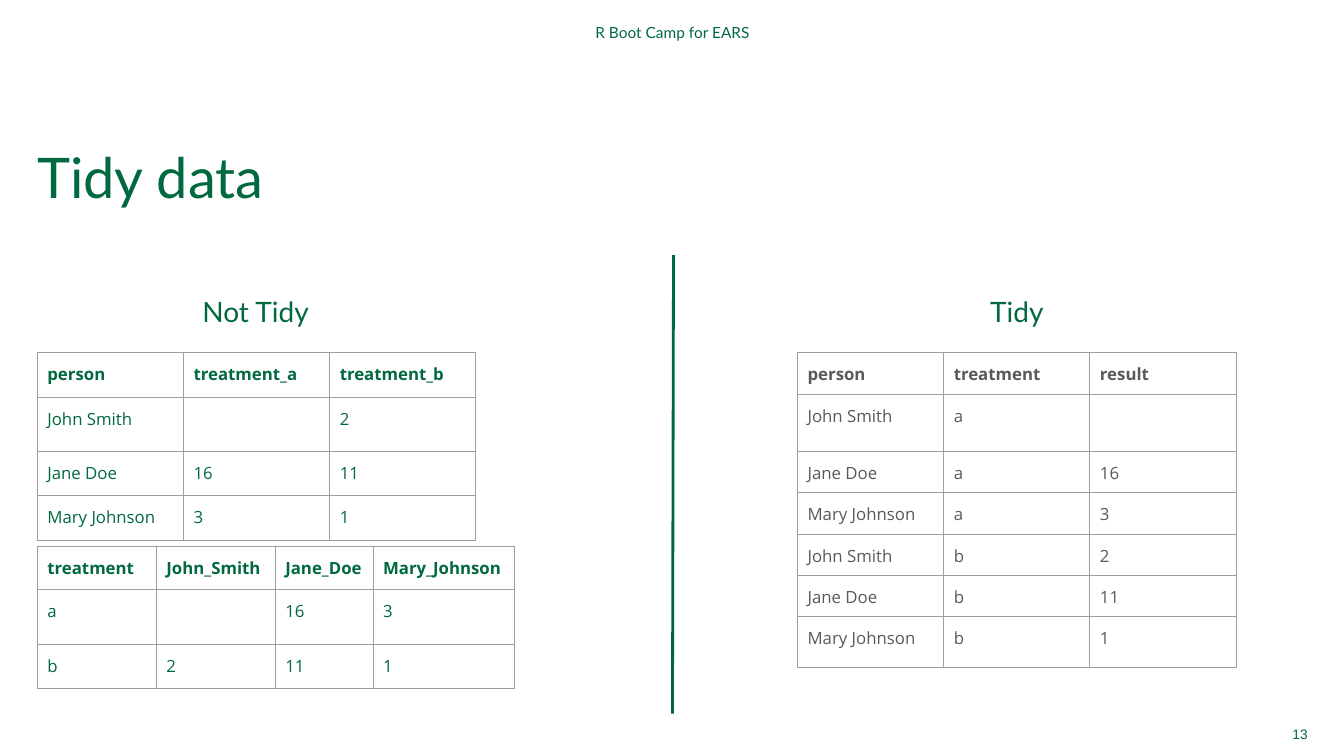
from lxml import etree
from pptx import Presentation
from pptx import util as u
from pptx.dml.color import RGBColor
from pptx.enum import shapes, text
from pptx.oxml import ns

GREEN, GREY, BORDER = "00693E", "595959", "9E9E9E"


def colour(value):
    return RGBColor.from_string(value)


class SlideBuilder:
    heading_font = "Lato"
    table_font = "Open Sans"

    def __init__(self, slide):
        self.slide = slide

    def format_runs(self, paragraph, size, font, hue, bold=False):
        for run in paragraph.runs:
            run.font.size = u.Pt(size)
            run.font.name = font
            run.font.bold = bold
            run.font.color.rgb = colour(hue)

    def label(self, words, box, size, align, font=heading_font,
              anchor=text.MSO_ANCHOR.MIDDLE, insets=(0, 0), spacing=None):
        shape = self.slide.shapes.add_textbox(*map(u.Inches, box))
        frame = shape.text_frame
        frame.text = words
        frame.word_wrap = True
        frame.vertical_anchor = anchor
        frame.margin_left = frame.margin_right = u.Inches(insets[0])
        frame.margin_top = frame.margin_bottom = u.Inches(insets[1])
        paragraph = frame.paragraphs[0]
        paragraph.alignment = align
        if spacing:
            paragraph.line_spacing = spacing
        self.format_runs(paragraph, size, font, GREEN)

    def line(self, start, end, width, hue):
        connector = self.slide.shapes.add_connector(
            shapes.MSO_CONNECTOR.STRAIGHT, *map(u.Inches, start + end))
        connector.line.color.rgb = colour(hue)
        connector.line.width = u.Pt(width)
        etree.SubElement(connector._element.spPr, ns.qn("a:effectLst"))

    def border(self, cell):
        properties = cell._tc.get_or_add_tcPr()
        for index, side in enumerate(("lnL", "lnR", "lnT", "lnB")):
            edge = etree.Element(ns.qn(f"a:{side}"), w=str(u.Pt(0.75)))
            fill = etree.SubElement(edge, ns.qn("a:solidFill"))
            etree.SubElement(fill, ns.qn("a:srgbClr"), val=BORDER)
            properties.insert(index, edge)

    def table(self, rows, corner, widths, heights, hue):
        box = (*corner, sum(widths), sum(heights))
        table = self.slide.shapes.add_table(
            len(rows), len(widths), *map(u.Inches, box)).table
        table.first_row = table.horz_banding = False
        for column, width in zip(table.columns, widths):
            column.width = u.Inches(width)
        for r, (row, height) in enumerate(zip(rows, heights)):
            table.rows[r].height = u.Inches(height)
            for c, value in enumerate(row):
                cell = table.cell(r, c)
                cell.text_frame.text = value
                cell.margin_left = cell.margin_right = u.Inches(0.1)
                cell.margin_top = u.Inches(0.1)
                cell.margin_bottom = u.Inches(0.07)
                cell.fill.background()
                self.border(cell)
                self.format_runs(cell.text_frame.paragraphs[0], 12,
                                 self.table_font, hue, bold=r == 0)


def main():
    presentation = Presentation()
    presentation.slide_width = u.Inches(13.33)
    presentation.slide_height = u.Inches(7.5)
    builder = SlideBuilder(
        presentation.slides.add_slide(presentation.slide_layouts[6]))
    align, top = text.PP_ALIGN, text.MSO_ANCHOR.TOP

    # Title, header and page number
    builder.label("Tidy data", (0.37, 1.52, 12.63, 1.01), 40, align.LEFT,
                  anchor=top, spacing=0.85)
    builder.label("R Boot Camp for EARS", (2.61, 0.2, 8.12, 0.24), 11,
                  align.CENTER)
    builder.label("13", (12.4, 7.16, 0.57, 0.24), 9.8, align.RIGHT,
                  font="Arial")

    # Untidy layouts
    builder.label("Not Tidy", (0.62, 2.87, 3.83, 0.44), 20, align.CENTER,
                  insets=(0.1, 0.05))
    builder.table([("person", "treatment_a", "treatment_b"),
                   ("John Smith", "", "2"),
                   ("Jane Doe", "16", "11"),
                   ("Mary Johnson", "3", "1")],
                  (0.37, 3.5), [1.45] * 3, [0.44, 0.54, 0.44, 0.44], GREEN)
    builder.table([("treatment", "John_Smith", "Jane_Doe", "Mary_Johnson"),
                   ("a", "", "16", "3"),
                   ("b", "2", "11", "1")],
                  (0.37, 5.42), [1.18, 1.18, 0.97, 1.4], [0.43, 0.54, 0.44],
                  GREEN)

    # Divider
    builder.line((6.68, 2.53), (6.67, 7.08), 2, "00673D")

    # Tidy layout
    builder.label("Tidy", (6.75, 2.87, 6.67, 0.44), 20, align.CENTER,
                  anchor=top, insets=(0.1, 0.05))
    builder.table([("person", "treatment", "result"),
                   ("John Smith", "a", ""),
                   ("Jane Doe", "a", "16"),
                   ("Mary Johnson", "a", "3"),
                   ("John Smith", "b", "2"),
                   ("Jane Doe", "b", "11"),
                   ("Mary Johnson", "b", "1")],
                  (7.91, 3.5), [1.45] * 3,
                  [0.41, 0.57, *[0.41] * 4, 0.5], GREY)

    presentation.save("out.pptx")


if __name__ == "__main__":
    main()
